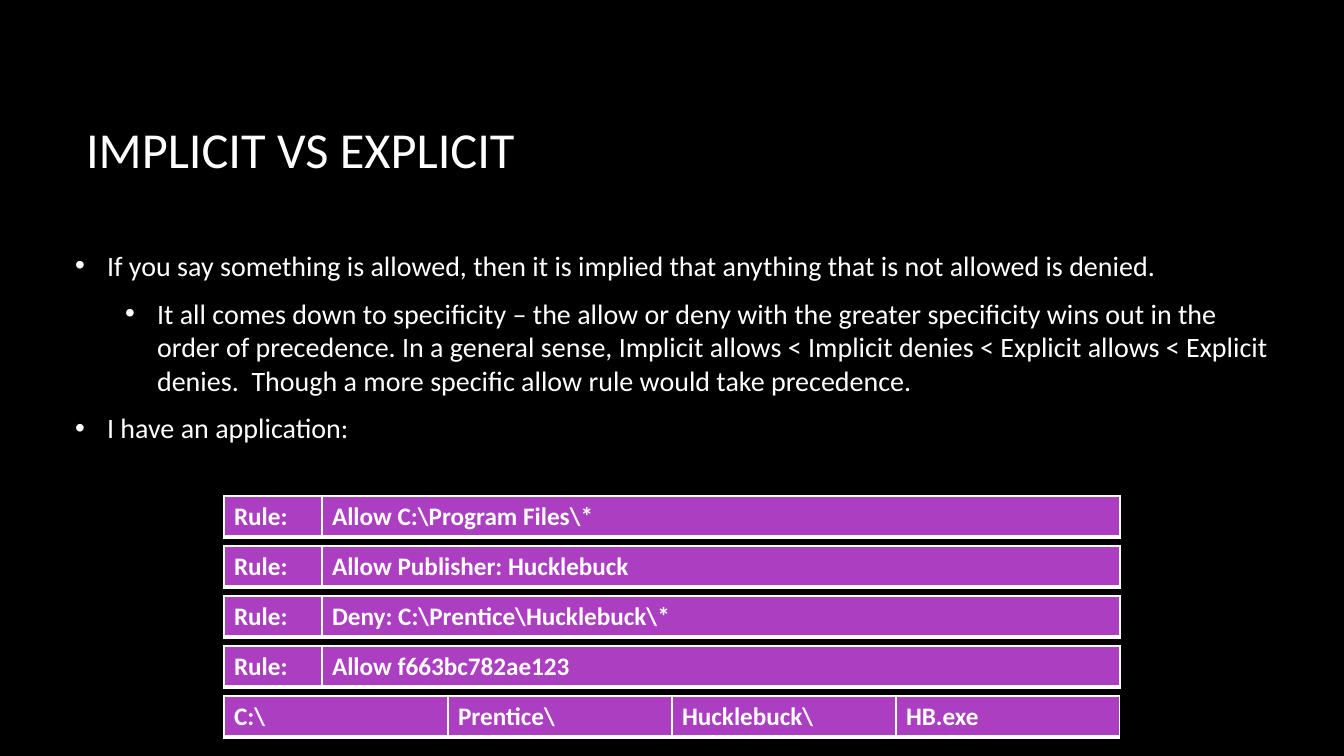
from lxml.etree import SubElement
from pptx import Presentation
from pptx.dml.color import RGBColor
from pptx.enum.text import MSO_ANCHOR, MSO_AUTO_SIZE, PP_ALIGN
from pptx.oxml.ns import qn
from pptx.util import Pt

EMU_PER_PX = 12192000 / 1344
COLORS = {"background": "000000", "text": "FFFFFF", "cell": "AC3EC1"}
BORDERS = {"a:lnL": 1, "a:lnR": 1, "a:lnT": 1, "a:lnB": 3}


def px(length):
    return round(length * EMU_PER_PX)


class RuleSlide:
    """Holds the style and the current slide, and adds its elements."""

    font_name = "Calibri"

    def __init__(self, presentation):
        self.slide = presentation.slides.add_slide(presentation.slide_layouts[1])
        fill = self.slide.background.fill
        fill.solid()
        fill.fore_color.rgb = self.color("background")

    def color(self, name):
        return RGBColor.from_string(COLORS[name])

    def format_runs(self, paragraph, size, bold=False):
        for run in paragraph.runs:
            run.font.name = self.font_name
            run.font.size = Pt(size)
            run.font.bold = bold
            run.font.color.rgb = self.color("text")

    def place(self, shape, left, top, width, height):
        shape.left, shape.top = px(left), px(top)
        shape.width, shape.height = px(width), px(height)
        text_frame = shape.text_frame
        text_frame.word_wrap = True
        text_frame.auto_size = MSO_AUTO_SIZE.NONE
        text_frame.vertical_anchor = MSO_ANCHOR.MIDDLE
        return text_frame

    def title(self, text, left, top, width, height):
        text_frame = self.place(self.slide.shapes.title, left, top, width, height)
        text_frame.text = text
        paragraph = text_frame.paragraphs[0]
        paragraph.alignment = PP_ALIGN.LEFT
        self.format_runs(paragraph, 36)

    def bullets(self, items, left, top, width, height):
        text_frame = self.place(self.slide.placeholders[1], left, top, width, height)
        text_frame.text = "\n".join(text for level, text in items)
        for paragraph, (level, text) in zip(text_frame.paragraphs, items):
            paragraph.level = level
            self.bullet(paragraph, 32 + 50 * level, 32)
            paragraph.space_before = Pt(0)
            paragraph.space_after = Pt(10)
            self.format_runs(paragraph, 20)

    def bullet(self, paragraph, margin, hanging):
        properties = paragraph._p.get_or_add_pPr()
        properties.set("marL", str(px(margin)))
        properties.set("indent", str(-px(hanging)))
        bullet_color = SubElement(properties, qn("a:buClr"))
        SubElement(bullet_color, qn("a:srgbClr"), val=COLORS["text"])
        SubElement(properties, qn("a:buFont"), typeface="Arial")
        SubElement(properties, qn("a:buChar"), char="•")

    def table_row(self, texts, widths, left, top, height):
        frame = self.slide.shapes.add_table(
            1, len(texts), px(left), px(top), px(sum(widths)), px(height)
        )
        for index, (text, width) in enumerate(zip(texts, widths)):
            frame.table.columns[index].width = px(width)
            cell = frame.table.cell(0, index)
            cell.text_frame.text = text
            self.format_runs(cell.text_frame.paragraphs[0], 18, bold=True)
            self.cell_borders(cell)
            cell.fill.solid()
            cell.fill.fore_color.rgb = self.color("cell")

    def cell_borders(self, cell):
        properties = cell._tc.get_or_add_tcPr()
        for tag, points in BORDERS.items():
            line = SubElement(properties, qn(tag), w=str(Pt(points)))
            fill = SubElement(line, qn("a:solidFill"))
            SubElement(fill, qn("a:srgbClr"), val=COLORS["text"])


def main():
    presentation = Presentation()
    presentation.slide_width, presentation.slide_height = px(1344), px(756)
    slide = RuleSlide(presentation)
    slide.title("IMPLICIT VS EXPLICIT", 76, 68, 1117, 160)
    slide.bullets(
        [
            (0, "If you say something is allowed, then it is implied that "
                "anything that is not allowed is denied."),
            (1, "It all comes down to specificity – the allow or deny with the "
                "greater specificity wins out in the order of precedence. In a "
                "general sense, Implicit allows < Implicit denies < Explicit "
                "allows < Explicit denies.  Though a more specific allow rule "
                "would take precedence."),
            (0, "I have an application:"),
        ],
        65, 226, 1216, 241,
    )
    rules = [
        "Allow C:\\Program Files\\*",
        "Allow Publisher: Hucklebuck",
        "Deny: C:\\Prentice\\Hucklebuck\\*",
        "Allow f663bc782ae123",
    ]
    rows = [(["Rule:", rule], [98, 798]) for rule in rules]
    rows.append((["C:\\", "Prentice\\", "Hucklebuck\\", "HB.exe"], [224] * 4))
    for index, (texts, widths) in enumerate(rows):
        slide.table_row(texts, widths, 224, 496 + 50 * index, 41)
    presentation.save("out.pptx")


if __name__ == "__main__":
    main()
